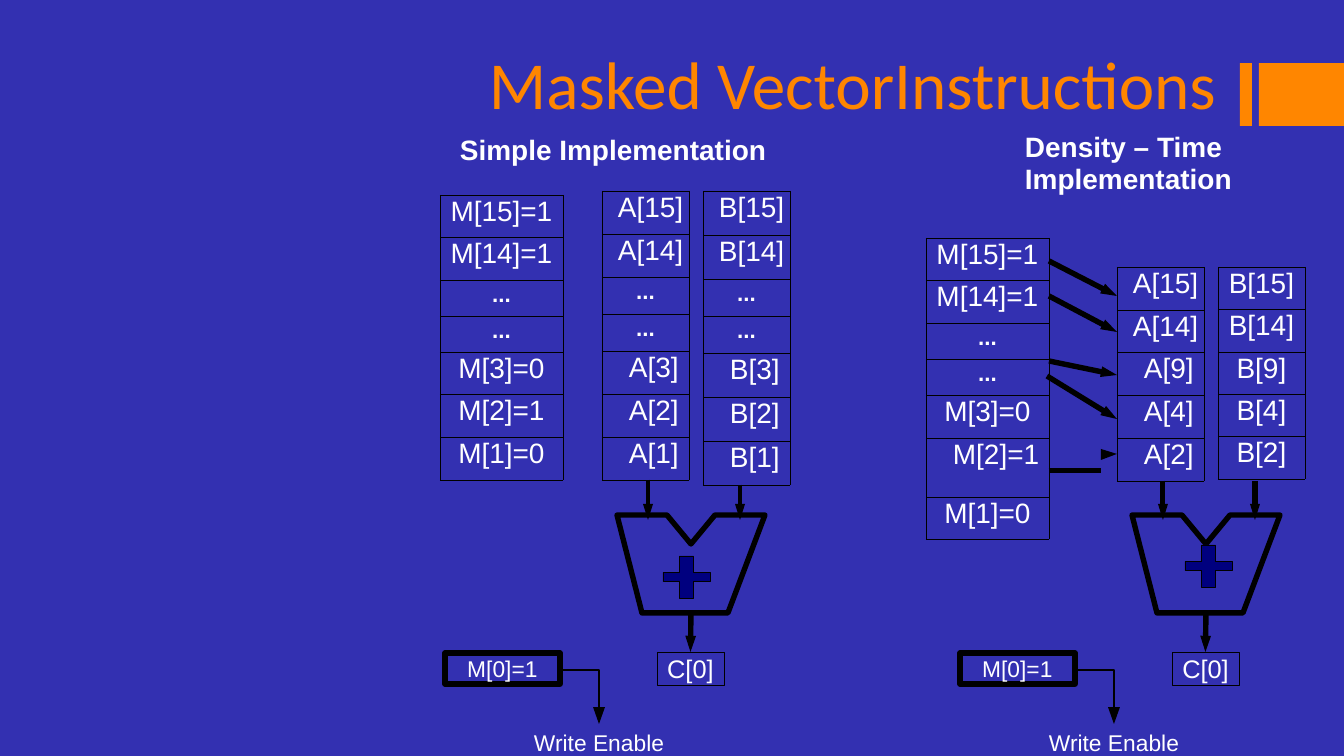
from lxml import etree
from pptx import Presentation
from pptx.dml.color import RGBColor
from pptx.enum import shapes, text
from pptx.oxml import ns
from pptx.util import Pt

PX = 6804  # EMU in one px, 1344 px across a 10 inch slide


class Theme:
    background = RGBColor.from_string("3330B1")
    accent = RGBColor.from_string("FF8600")
    ink = RGBColor.from_string("000000")
    paper = RGBColor.from_string("FFFFFF")
    plus = RGBColor.from_string("00007F")
    title_font, body_font = "Calibri", "Arial"
    title, body, dots, result, label = 36, 15, 12, 13.6, 12.2
    hairline, elbow, thick, stem = 0.25, 1.4, 2.9, 3


def write(frame, words, size, align=text.PP_ALIGN.LEFT, bold=False,
          color=Theme.paper, font=Theme.body_font):
    frame.word_wrap = True
    paragraph = frame.paragraphs[0]
    paragraph.text = words
    paragraph.alignment = align
    run_font = paragraph.runs[0].font
    run_font.name, run_font.size, run_font.bold = font, Pt(size), bold
    run_font.color.rgb = color
    return paragraph


def stroke(shape, width, head=None):
    """Black line without shadow; head is the arrowhead's (width, length)."""
    shape.line.color.rgb = Theme.ink
    shape.line.width = Pt(width)
    properties = shape._element.spPr
    if head:
        etree.SubElement(properties.find(ns.qn("a:ln")), ns.qn("a:tailEnd"),
                         type="triangle", w=head[0], len=head[1])
    etree.SubElement(properties, ns.qn("a:effectLst"))


presentation = Presentation()
presentation.slide_width, presentation.slide_height = 1344 * PX, 756 * PX
slide = presentation.slides.add_slide(presentation.slide_layouts[6])
slide.background.fill.solid()
slide.background.fill.fore_color.rgb = Theme.background
items = slide.shapes

# Accent bars
for left, width in ((1240, 12), (1259, 85)):
    bar = items.add_shape(shapes.MSO_SHAPE.RECTANGLE, left * PX, 63 * PX, width * PX, 63 * PX)
    bar.shadow.inherit = False
    bar.fill.solid()
    bar.fill.fore_color.rgb = Theme.accent
    bar.line.fill.background()

# Title, headings and write-enable labels
for left, top, width, height, words, size, bold, color, font in (
    (489, 42, 740, 84, "Masked VectorInstructions", Theme.title, False, Theme.accent, Theme.title_font),
    (460, 133, 320, 35, "Simple Implementation", Theme.body, True, Theme.paper, Theme.body_font),
    (1025, 132, 215, 66, "Density – Time Implementation", Theme.body, True, Theme.paper, Theme.body_font),
    (534, 729, 140, 26, "Write Enable", Theme.label, False, Theme.paper, Theme.body_font),
    (1049, 729, 140, 26, "Write Enable", Theme.label, False, Theme.paper, Theme.body_font),
):
    box = items.add_textbox(left * PX, top * PX, width * PX, height * PX)
    frame = box.text_frame
    frame.margin_left = frame.margin_top = frame.margin_right = frame.margin_bottom = 0
    paragraph = write(frame, words, size, bold=bold, color=color, font=font)
    if words.startswith("Density"):
        paragraph.line_spacing = Pt(16.8)

# Register tables: left, top, column widths, letter, indices, row heights, indents (0 = centred)
# A second column carries the stem, drawn as a thick border between blank cells
simple = ("15", "14", "...", "...", "3", "2", "1")
dense = ("15", "14", "9", "4", "2")
mask_bits = {"15": "=1", "14": "=1", "3": "=0", "2": "=1", "1": "=0"}
simple_indents = [16] * 2 + [0] * 2 + [27] * 3
for left, top, widths, letter, indices, heights, indents in (
    (440, 195, [123], "M", simple, [42, 43, 36, 36, 42, 43, 43], [0] * 7),
    (602, 191, [46, 41], "A", simple, [43] * 2 + [37] * 2 + [43] * 3 + [24], simple_indents),
    (703, 191, [37, 50], "B", simple, [44] * 2 + [37] * 2 + [44] * 3 + [19], simple_indents),
    (926, 238, [123, 52], "M", simple[:6] + ("",) + simple[6:],
     [42, 43, 36, 36, 43, 33, 26, 42], [0] * 5 + [27, 0, 0]),
    (1117, 267, [46, 41], "A", dense, [43, 42, 43, 43, 43, 24], [16] * 2 + [27] * 3),
    (1218, 267, [87], "B", dense, [42, 43, 42, 42, 43], [0] * 5),
):
    table = items.add_table(len(heights), len(widths), left * PX, top * PX,
                            sum(widths) * PX, sum(heights) * PX).table
    table.first_row = table.horz_banding = False
    for column, width in enumerate(widths):
        table.columns[column].width = width * PX
    for row, height in enumerate(heights):
        table.rows[row].height = height * PX

    # Merged cells
    spans = []
    if len(widths) == 2:
        spans = [(row, 0, row, 1) for row in range(len(indices))]
        if letter == "M":
            spans = [(5, 0, 6, 0), (0, 1, 5, 1), (6, 1, 7, 1)]
    for top_row, first, bottom_row, last in spans:
        table.cell(top_row, first).merge(table.cell(bottom_row, last))

    for row in range(len(heights)):
        for column in range(len(widths)):
            cell = table.cell(row, column)
            cell.margin_left = cell.margin_top = cell.margin_right = cell.margin_bottom = 0
            index = indices[row] if row < len(indices) and column == 0 else ""
            if index:
                skipped, indent = index == "...", indents[row]
                words = index if skipped else f"{letter}[{index}]"
                if letter == "M":
                    words += mask_bits.get(index, "")
                cell.margin_left, cell.margin_top = indent * PX, (2 if skipped else 1) * PX
                write(cell.text_frame, words, Theme.dots if skipped else Theme.body,
                      text.PP_ALIGN.LEFT if indent else text.PP_ALIGN.CENTER, bold=skipped)
            else:
                etree.SubElement(cell.text_frame.paragraphs[0]._p, ns.qn("a:endParaRPr"), sz="600")

            # Borders
            borders = dict.fromkeys(("lnL", "lnR", "lnT", "lnB"), Theme.hairline)
            if letter == "M" and column == 1:
                borders = {"lnL": Theme.hairline, "lnB" if row < 6 else "lnT": Theme.stem}
            elif row >= len(indices):
                borders = {"lnT": Theme.hairline, "lnL" if column else "lnR": Theme.stem}
            properties = cell._tc.get_or_add_tcPr()
            for side in ("lnL", "lnR", "lnT", "lnB"):
                border = etree.SubElement(properties, ns.qn(f"a:{side}"), w=str(Pt(borders.get(side, 0))))
                if side in borders:
                    fill = etree.SubElement(border, ns.qn("a:solidFill"))
                    etree.SubElement(fill, ns.qn("a:srgbClr"), val=str(Theme.ink))
                else:
                    etree.SubElement(border, ns.qn("a:noFill"))
            cell.fill.background()

# Adder, plus, mask and result for each implementation
for shift, plus_left, plus_top in ((0, 663, 556), (515, 1185, 545)):
    # Adder outline and mask elbow
    for points, closed, width in (
        (((617, 515), (642, 613), (728, 613), (765, 515), (715, 515), (691, 544), (667, 515)),
         True, Theme.thick),
        (((560, 670), (599, 670), (599, 708)), False, Theme.elbow),
    ):
        points = [(x + shift, y) for x, y in points]
        builder = items.build_freeform(*points[0], scale=PX)
        builder.add_line_segments(points[1:], close=closed)
        outline = builder.convert_to_shape()
        outline.fill.background()
        stroke(outline, width)

    # Plus sign
    plus = items.add_shape(shapes.MSO_SHAPE.CROSS, plus_left * PX, plus_top * PX, 47 * PX, 42 * PX)
    plus.adjustments[0] = 0.39
    plus.fill.solid()
    plus.fill.fore_color.rgb = Theme.plus
    stroke(plus, Theme.hairline)

    # Mask and result boxes
    for left, top, width, height, words, size, weight in (
        (445, 653, 115, 31, "M[0]=1", Theme.label, 2.83),
        (657, 652, 67, 33, "C[0]", Theme.result, Theme.hairline),
    ):
        box = items.add_shape(shapes.MSO_SHAPE.RECTANGLE, (left + shift) * PX, top * PX,
                              width * PX, height * PX)
        box.fill.background()
        stroke(box, weight)
        frame = box.text_frame
        frame.margin_left = frame.margin_top = frame.margin_right = frame.margin_bottom = 0
        frame.vertical_anchor = text.MSO_ANCHOR.MIDDLE
        write(frame, words, size, text.PP_ALIGN.CENTER)

    # Result arrow
    arrow = items.add_connector(shapes.MSO_CONNECTOR.STRAIGHT, (691 + shift) * PX, 613 * PX,
                                (691 + shift) * PX, 652 * PX)
    arrow.end_connect(box, 0)
    stroke(arrow, Theme.thick, ("sm", "med"))

# Arrows from mask bits to packed elements, and the stem under the dense B table
for x1, y1, x2, y2, head in (
    (1049, 261, 1117, 296, ("sm", "med")),
    (1049, 296, 1117, 332, ("sm", "med")),
    (1049, 361, 1117, 375, ("sm", "med")),
    (1047, 376, 1117, 419, ("sm", "med")),
    (1255, 481, 1255, 505, None),
):
    arrow = items.add_connector(shapes.MSO_CONNECTOR.STRAIGHT, x1 * PX, y1 * PX, x2 * PX, y2 * PX)
    stroke(arrow, Theme.thick, head)

# Arrowheads on the stems and elbows, and the one at A[2]
heads = [[(1101, 449), (1101, 460), (1117, 454)]]
for shift in (0, 515):
    for x, top, tip, half in ((648, 504, 520, 5), (740, 504, 520, 5), (599, 707, 724, 6)):
        x += shift
        heads.append([(x - half, top), (x + half, top), (x, tip)])
for points in heads:
    builder = items.build_freeform(*points[0], scale=PX)
    builder.add_line_segments(points[1:])
    arrowhead = builder.convert_to_shape()
    arrowhead.shadow.inherit = False
    arrowhead.fill.solid()
    arrowhead.fill.fore_color.rgb = Theme.ink
    arrowhead.line.fill.background()

presentation.save("out.pptx")
